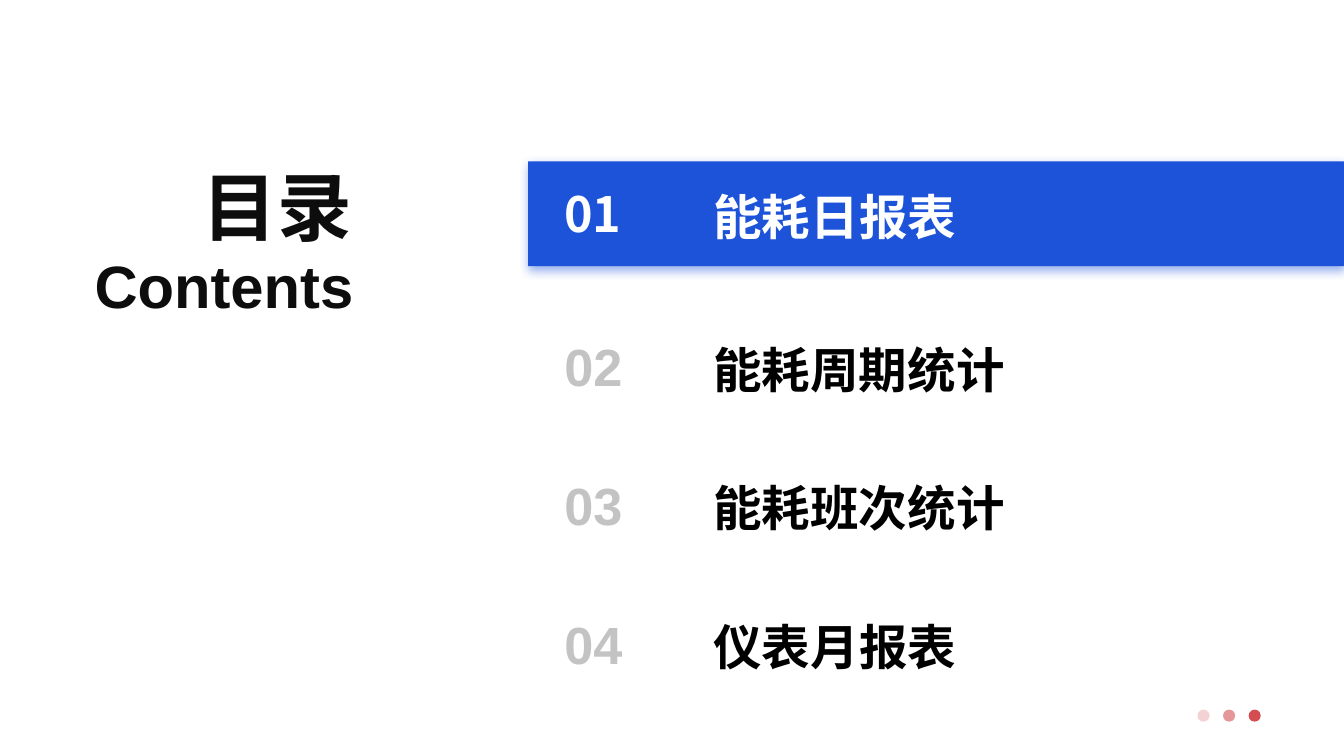
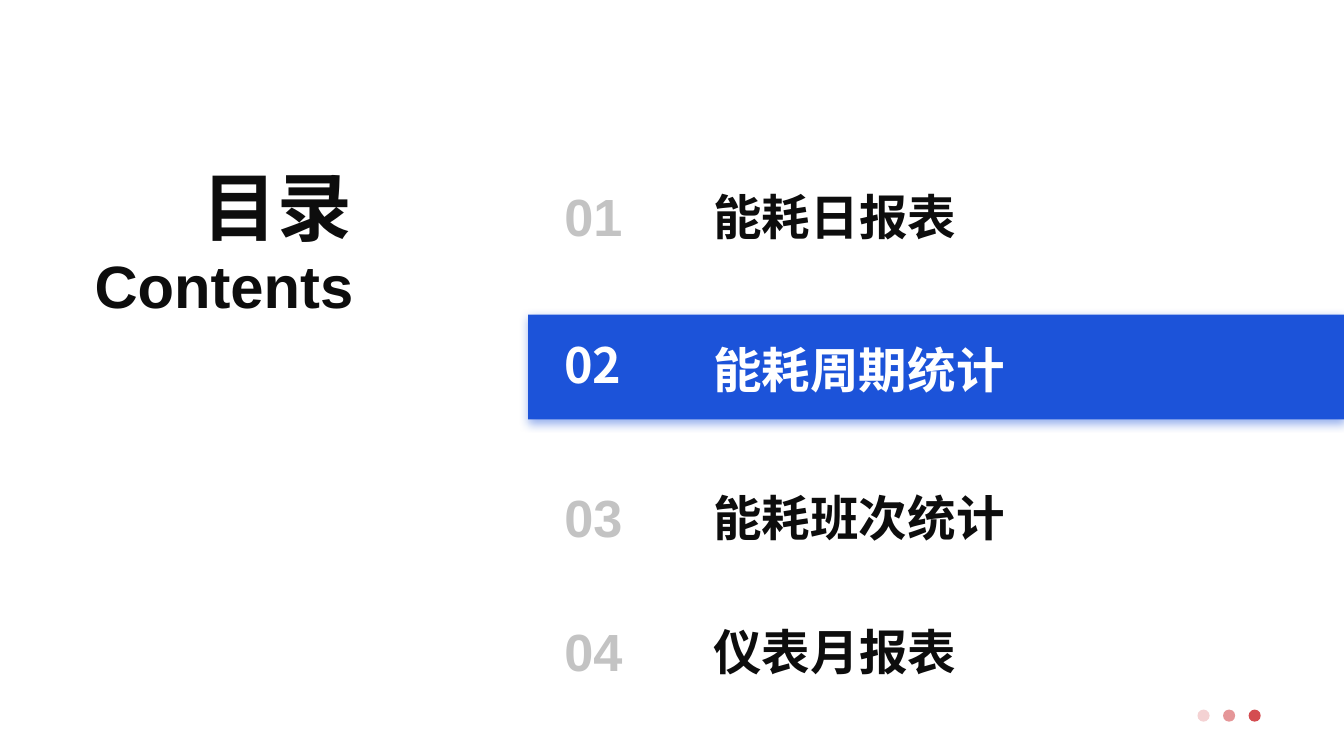
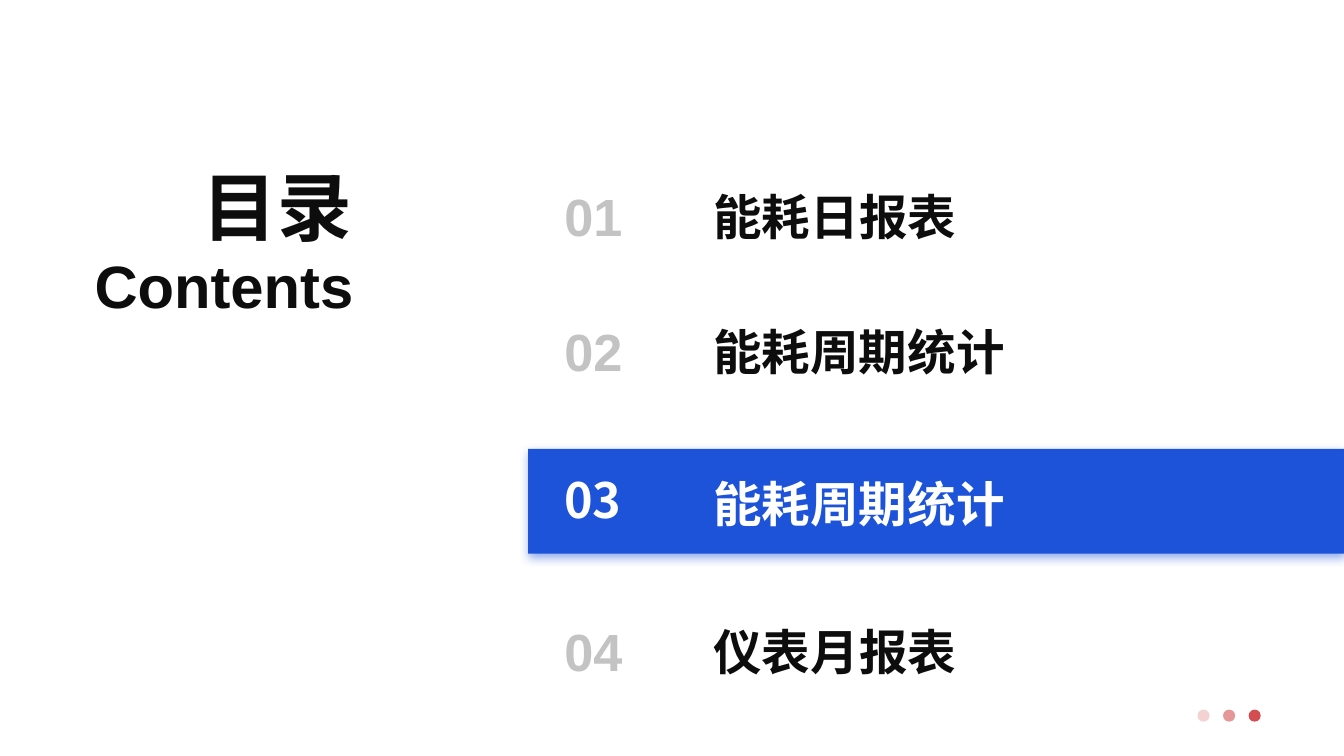
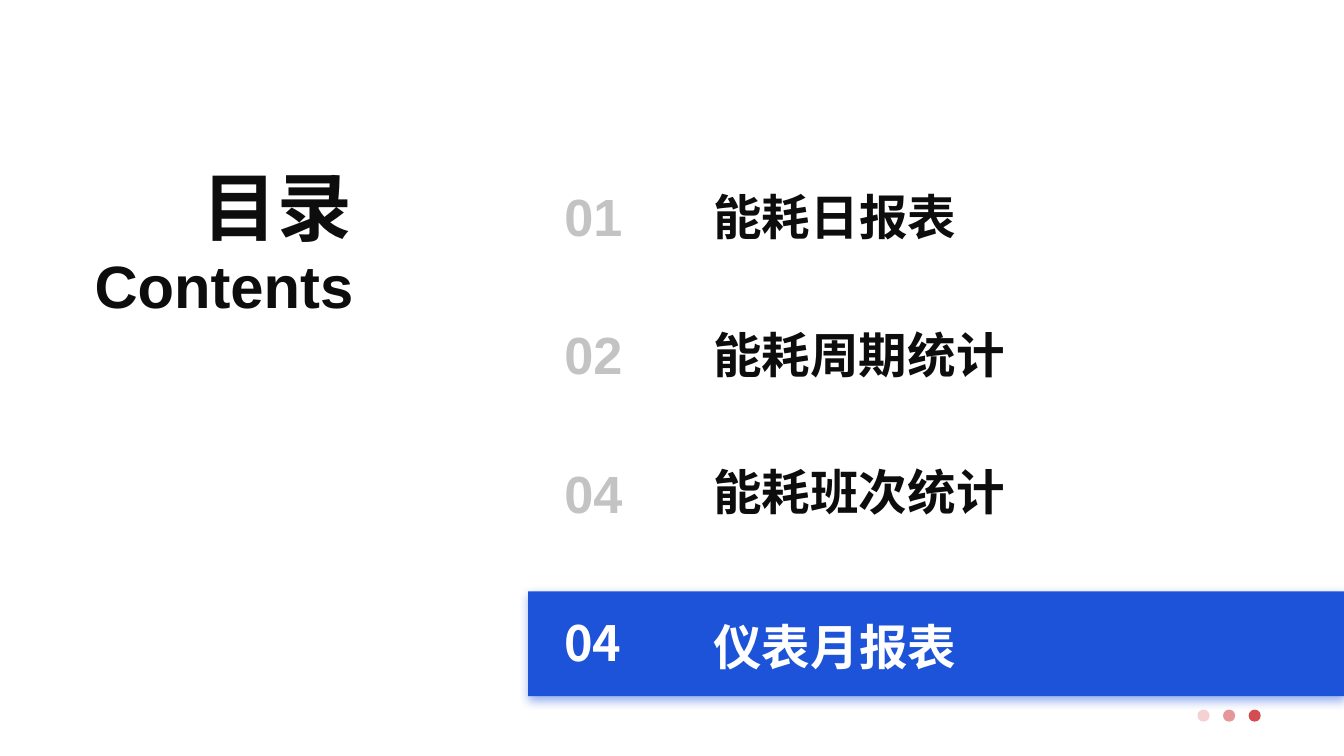
"""Four agenda slides, each with one entry highlighted."""
from dataclasses import dataclass

from lxml.etree import SubElement as Sub
from pptx import Presentation
from pptx.dml.color import RGBColor as Rgb
from pptx.enum.shapes import MSO_SHAPE as Kind
from pptx.enum.text import MSO_ANCHOR as Anchor, MSO_AUTO_SIZE as Auto, PP_ALIGN as Align
from pptx.oxml.ns import qn
from pptx.shapes.base import BaseShape
from pptx.slide import Slide
from pptx.util import Inches, Pt

HUES = {"band": "1C53D9", "dot": "D44D51", "num": "C3C3C3",
        "ink": "0D0D0D", "black": "000000", "white": "FFFFFF"}
LATIN, HAN = "Arial", "Noto Sans CJK SC"
DAY, CYCLE, SHIFT, METER = "能耗日报表", "能耗周期统计", "能耗班次统计", "仪表月报表"


@dataclass(frozen=True)
class Style:
    """Look of one piece of text."""
    font: str
    size: int
    hue: str
    align: Align = Align.LEFT
    wrap: bool = False


@dataclass(frozen=True)
class Row:
    """One agenda entry: number, label, and the tops of both."""
    num: str
    label: str
    num_top: float
    top: float


@dataclass(frozen=True)
class Page:
    """One slide: its rows, the active row and the label colour."""
    rows: tuple[Row, ...]
    active: int
    hue: str = "ink"


TITLE = Style(HAN, 40, "ink", Align.RIGHT)
SUBTITLE = Style(LATIN, 32, "ink", Align.RIGHT)
NUMBER = Style(LATIN, 28, "num", wrap=True)
ACTIVE = Style(HAN, 26, "white")

FIRST = Row("01", DAY, 1.32, 1.34)
SECOND = Row("02", CYCLE, 2.44, 2.48)
LAST = Row("04", METER, 4.51, 4.54)
LOWER = Row("04", METER, 4.56, 4.58)
PAGES = (
    Page((FIRST, SECOND, Row("03", SHIFT, 3.47, 3.51), LAST), 0, "black"),
    Page((FIRST, SECOND, Row("03", SHIFT, 3.56, 3.58), LOWER), 1),
    Page((FIRST, Row("02", CYCLE, 2.33, 2.35), Row("03", CYCLE, 3.45, 3.48), LOWER), 2),
    Page((FIRST, Row("02", CYCLE, 2.35, 2.37), Row("04", SHIFT, 3.38, 3.39), LAST), 3),
)


def write(shape: BaseShape, text: str, style: Style) -> None:
    """Put styled text in a shape."""
    frame = shape.text_frame
    frame.text = text
    frame.word_wrap = style.wrap
    frame.auto_size = Auto.SHAPE_TO_FIT_TEXT
    frame.vertical_anchor = Anchor.TOP
    para = frame.paragraphs[0]
    para.alignment = style.align
    font = para.runs[0].font
    font.name, font.size, font.bold = style.font, Pt(style.size), True
    font.color.rgb = Rgb.from_string(HUES[style.hue])
    Sub(font._element, qn("a:ea")).set("typeface", style.font)


def add_text(slide: Slide, text: str, style: Style,
             left: float, top: float, width: float, height: float) -> None:
    """Add a styled text box."""
    box = slide.shapes.add_textbox(Inches(left), Inches(top), Inches(width), Inches(height))
    write(box, text, style)


def paint(shape: BaseShape, hue: str) -> None:
    """Give a shape a plain fill with no line or shadow."""
    shape.shadow.inherit = False
    shape.fill.solid()
    shape.fill.fore_color.rgb = Rgb.from_string(HUES[hue])
    shape.line.fill.background()


def fade(color, share: int) -> None:
    """Set the opacity of a colour element in percent."""
    Sub(color, qn("a:alpha")).set("val", str(share * 1000))


def add_band(slide: Slide, top: float) -> None:
    """Add the highlight band with its soft shadow."""
    band = slide.shapes.add_shape(Kind.RECTANGLE, Inches(3.93), Inches(top),
                                  Inches(6.07), Inches(0.78))
    paint(band, "band")
    glow = Sub(band._element.spPr.find(qn("a:effectLst")), qn("a:outerShdw"),
               blurRad=str(Pt(5)), dist=str(Pt(2)), dir="5400000",
               algn="t", rotWithShape="0")
    fade(Sub(glow, qn("a:srgbClr"), val=HUES["band"]), 46)


def add_dots(slide: Slide) -> None:
    """Add the three fading dots at the foot."""
    group = slide.shapes.add_group_shape()
    for step, share in enumerate((100, 59, 25)):
        dot = group.shapes.add_shape(Kind.OVAL, Inches(9.29 - 0.19 * step), Inches(5.28),
                                     Inches(0.09), Inches(0.09))
        paint(dot, "dot")
        if share < 100:
            fade(dot._element.spPr.find(qn("a:solidFill"))[0], share)


def add_row(slide: Slide, row: Row, active: bool, hue: str) -> None:
    """Add one agenda entry, on a band when active."""
    if active:
        add_band(slide, row.top - 0.14)
    add_text(slide, row.num, ACTIVE if active else NUMBER,
             4.1, row.num_top, 0.63 if active else 0.69, 0.57)
    add_text(slide, row.label, ACTIVE if active else Style(HAN, 26, hue),
             5.21, row.top, 0.21 + 0.36 * len(row.label), 0.54)


def add_page(deck: Presentation, page: Page) -> None:
    """Add one agenda slide."""
    slide = deck.slides.add_slide(deck.slide_layouts[5])
    title = slide.shapes.title
    title.left, title.top = Inches(1.4), Inches(1.15)
    title.width, title.height = Inches(1.32), Inches(0.77)
    write(title, "目录", TITLE)
    add_text(slide, "Contents", SUBTITLE, 0.59, 1.8, 2.14, 0.64)
    for index, row in enumerate(page.rows):
        add_row(slide, row, index == page.active, page.hue)
    add_dots(slide)


def main() -> None:
    """Build and save the deck."""
    deck = Presentation()
    deck.slide_width = Inches(10)
    deck.slide_height = deck.slide_width * 9 // 16
    for page in PAGES:
        add_page(deck, page)
    deck.save("out.pptx")


if __name__ == "__main__":
    main()
